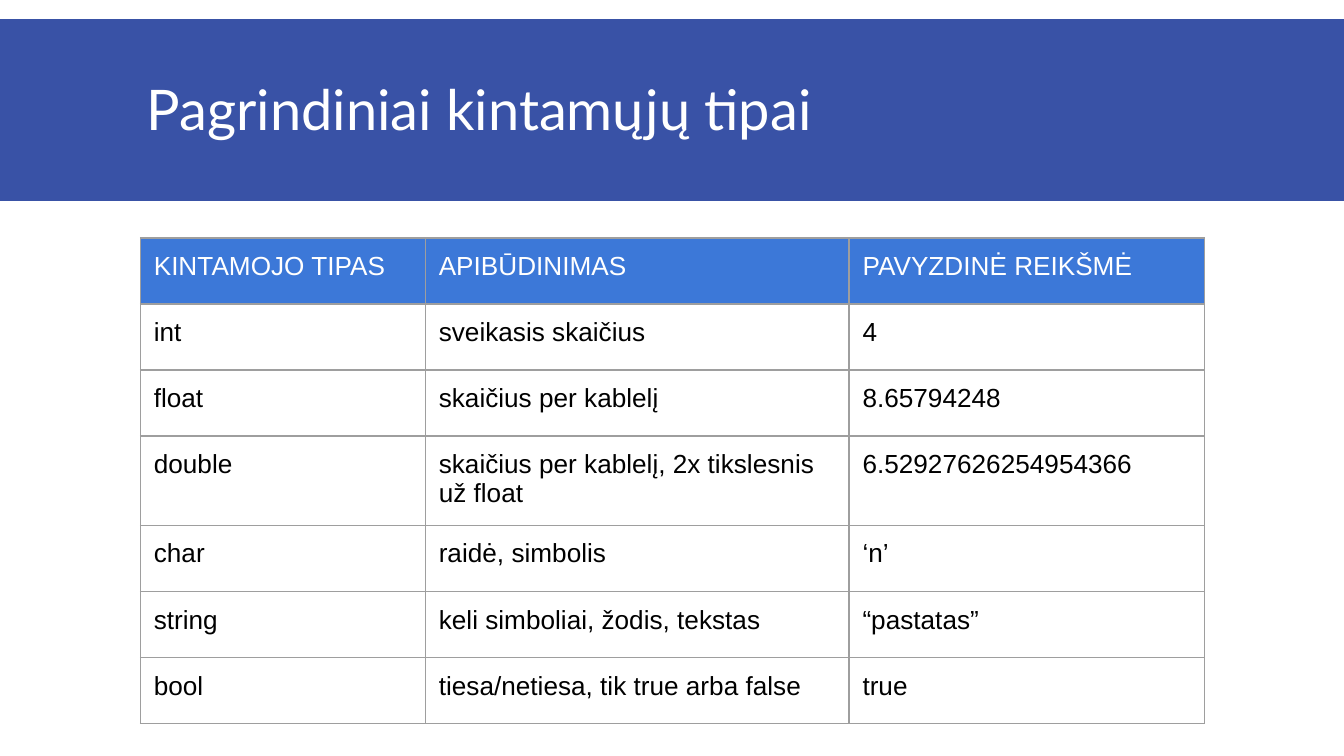
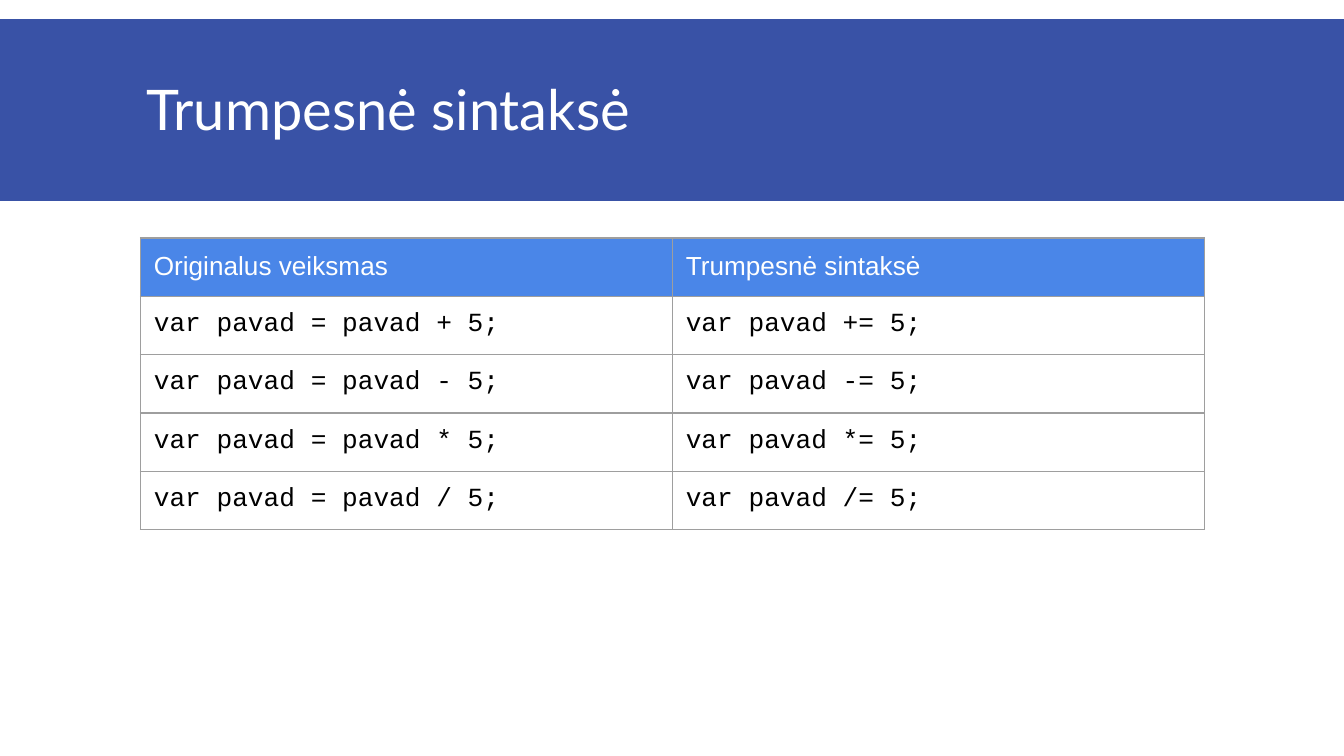
from dataclasses import dataclass

from lxml.etree import SubElement as Sub
from pptx import Presentation
from pptx.dml.color import RGBColor as Rgb
from pptx.enum.shapes import MSO_SHAPE as Shape
from pptx.enum.text import MSO_ANCHOR as Anchor
from pptx.oxml.ns import qn
from pptx.util import Pt


@dataclass(frozen=True)
class Theme:
    """Colours, fonts and sizes that the slides share."""
    band: str = "3952A6"
    light: str = "FFFFFF"
    dark: str = "000000"
    grid: str = "9E9E9E"
    deep: str = "3C78D8"
    sky: str = "4A86E8"
    head: str = "Lato"
    body: str = "Arial"
    code: str = "Courier New"
    big: float = 30
    small: float = 14
    inset: float = 7.2
    line: float = 0.75


LOOK = Theme()

TYPES = [
    ("KINTAMOJO TIPAS", "APIBŪDINIMAS", "PAVYZDINĖ REIKŠMĖ"),
    ("int", "sveikasis skaičius", "4"),
    ("float", "skaičius per kablelį", "8.65794248"),
    ("double", "skaičius per kablelį, 2x tikslesnis už float",
     "6.52927626254954366"),
    ("char", "raidė, simbolis", "‘n’"),
    ("string", "keli simboliai, žodis, tekstas", "“pastatas”"),
    ("bool", "tiesa/netiesa, tik true arba false", "true"),
]

SHORT = [("Originalus veiksmas", "Trumpesnė sintaksė")] + [
    (f"var pavad = pavad {sign} 5;", f"var pavad {sign}= 5;")
    for sign in "+-*/"
]


def apply(item, form):
    """Set each attribute in form on item."""
    for name, value in form.items():
        setattr(item, name, value)


def pad(item):
    """Give a text frame or a cell the shared inset on all sides."""
    sides = ("left", "right", "top", "bottom")
    apply(item, {f"margin_{side}": Pt(LOOK.inset) for side in sides})


def write(frame, text, font, size, tint):
    """Write one styled paragraph into a text frame and return it."""
    para = frame.paragraphs[0]
    run = para.add_run()
    run.text = text
    apply(run.font, {"name": font, "size": Pt(size), "bold": False})
    run.font.color.rgb = Rgb.from_string(tint)
    return para


def add_band(slide):
    """Draw the coloured band behind the title."""
    band = slide.shapes.add_shape(
        Shape.RECTANGLE, Pt(0), Pt(10.3), Pt(720), Pt(97.4))
    band.shadow.inherit = False
    band.fill.solid()
    band.fill.fore_color.rgb = Rgb.from_string(LOOK.band)
    band.line.fill.background()


def add_title(slide, text):
    """Place the title over the band."""
    box = slide.shapes.add_textbox(Pt(71.5), Pt(16.5), Pt(577.5), Pt(89))
    frame = box.text_frame
    apply(frame, {"word_wrap": True, "vertical_anchor": Anchor.MIDDLE})
    pad(frame)
    para = write(frame, text, LOOK.head, LOOK.big, LOOK.light)
    para.line_spacing = 0.85


def add_edges(cell):
    """Rule all four sides of a cell."""
    props = cell._tc.get_or_add_tcPr()
    for spot, side in enumerate("LRTB"):
        line = Sub(props, qn(f"a:ln{side}"), w=str(Pt(LOOK.line)))
        fill = Sub(line, qn("a:solidFill"))
        Sub(fill, qn("a:srgbClr"), val=LOOK.grid)
        props.insert(spot, line)


def add_grid(slide, rows, widths, height, shade, font):
    """Add a table with a filled header row and plain body rows."""
    shape = slide.shapes.add_table(
        len(rows), len(widths), Pt(75.2), Pt(127.5),
        Pt(sum(widths)), Pt(height * len(rows)))
    table = shape.table
    apply(table, {"first_row": False, "horz_banding": False})
    for col, width in zip(table.columns, widths):
        col.width = Pt(width)
    for index, (row, texts) in enumerate(zip(table.rows, rows)):
        row.height = Pt(height)
        for cell, text in zip(row.cells, texts):
            pad(cell)
            if index == 0:
                cell.fill.solid()
                cell.fill.fore_color.rgb = Rgb.from_string(shade)
                style = LOOK.body, LOOK.small, LOOK.light
            else:
                cell.fill.background()
                style = font, LOOK.small, LOOK.dark
            write(cell.text_frame, text, *style)
            add_edges(cell)


def add_page(deck, title):
    """Add a blank slide with its band and title."""
    slide = deck.slides.add_slide(deck.slide_layouts[6])
    add_band(slide)
    add_title(slide, title)
    return slide


def main():
    """Build and save the deck."""
    deck = Presentation()
    apply(deck, {"slide_width": Pt(720), "slide_height": Pt(405)})
    page = add_page(deck, "Pagrindiniai kintamųjų tipai")
    add_grid(page, TYPES, (152.7, 227, 190.3), 35.4, LOOK.deep, LOOK.body)
    page = add_page(deck, "Trumpesnė sintaksė")
    add_grid(page, SHORT, (285, 285), 30.2, LOOK.sky, LOOK.code)
    deck.save("out.pptx")


main()
